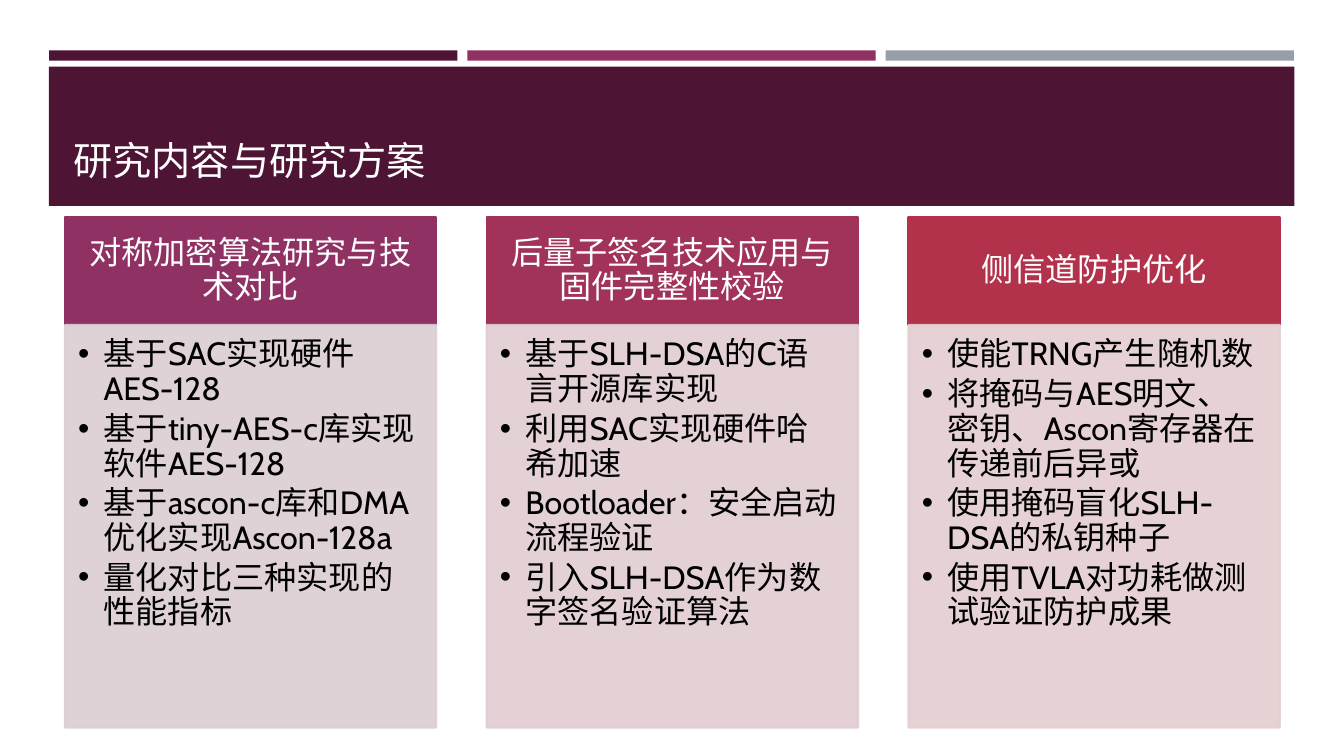
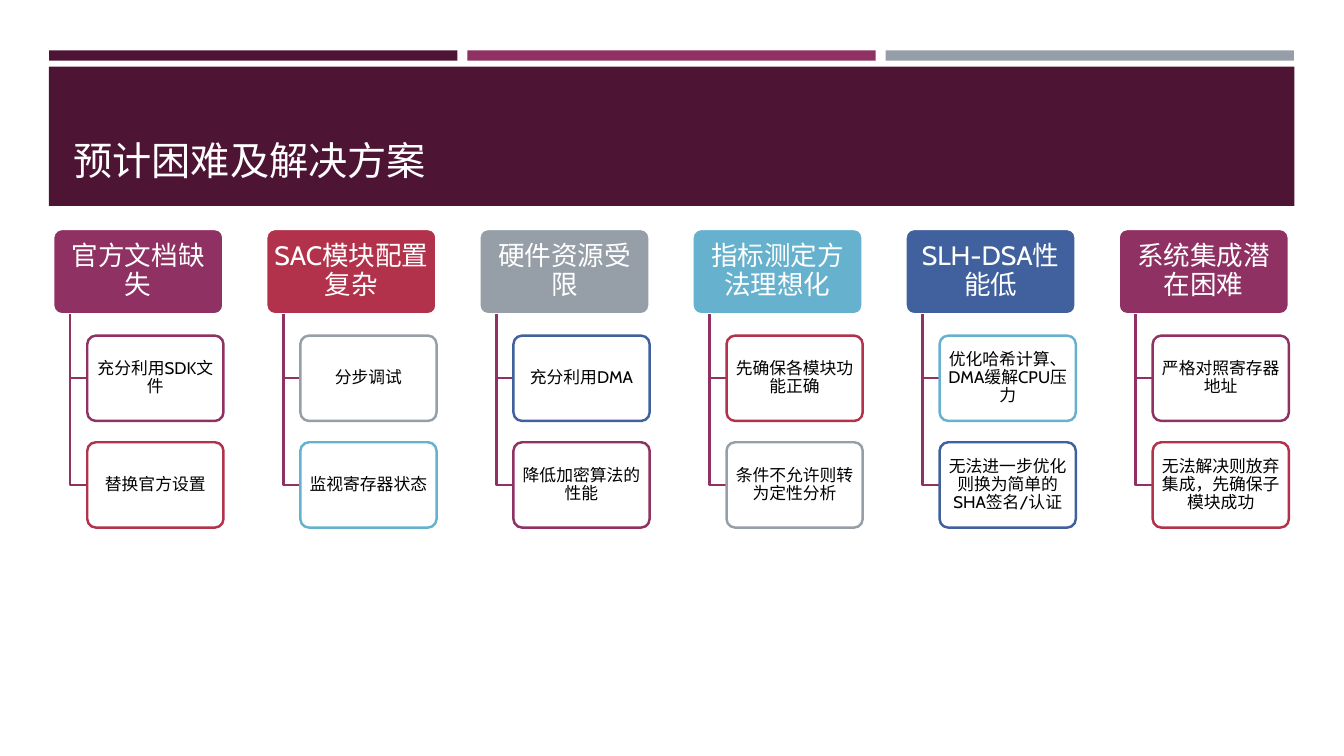
from itertools import cycle

from pptx import Presentation
from pptx import util as u
from pptx.dml.color import RGBColor
from pptx.enum import lang, shapes, text
from pptx.oxml import ns, xmlchemy

FONT = "Cabin"
WHITE = RGBColor(0xFF, 0xFF, 0xFF)
BLACK = RGBColor(0x00, 0x00, 0x00)
PLUM = RGBColor(0x4D, 0x14, 0x34)
MAGENTA = RGBColor(0x90, 0x31, 0x63)
RASPBERRY = RGBColor(0xA1, 0x32, 0x5A)
RED = RGBColor(0xB2, 0x32, 0x4B)
GREY = RGBColor(0x96, 0x9F, 0xA7)
SKY = RGBColor(0x66, 0xB1, 0xCE)
BLUE = RGBColor(0x40, 0x61, 0x9D)
PALE_MAGENTA = RGBColor(0xDB, 0xCE, 0xD3)
PALE_RASPBERRY = RGBColor(0xE0, 0xCD, 0xD2)
PALE_RED = RGBColor(0xE4, 0xCE, 0xD0)
ACCENTS = (MAGENTA, RED, GREY, SKY, BLUE)

LINE_WIDTH = u.Pt(1.75)
RECT = shapes.MSO_SHAPE.RECTANGLE
ROUNDED = shapes.MSO_SHAPE.ROUNDED_RECTANGLE
CENTER = text.PP_ALIGN.CENTER
LEFT = text.PP_ALIGN.LEFT

CARDS = (
    ("对称加密算法研究与技术对比", MAGENTA, PALE_MAGENTA, (
        "基于SAC实现硬件AES-128",
        "基于tiny-AES-c库实现软件AES-128",
        "基于ascon-c库和DMA优化实现Ascon-128a",
        "量化对比三种实现的性能指标",
    )),
    ("后量子签名技术应用与固件完整性校验", RASPBERRY, PALE_RASPBERRY, (
        "基于SLH-DSA的C语言开源库实现",
        "利用SAC实现硬件哈希加速",
        "Bootloader：安全启动流程验证",
        "引入SLH-DSA作为数字签名验证算法",
    )),
    ("侧信道防护优化", RED, PALE_RED, (
        "使能TRNG产生随机数",
        "将掩码与AES明文、密钥、Ascon寄存器在传递前后异或",
        "使用掩码盲化SLH-DSA的私钥种子",
        "使用TVLA对功耗做测试验证防护成果",
    )),
)

DIFFICULTIES = (
    ("官方文档缺失", ("充分利用SDK文件", "替换官方设置")),
    ("SAC模块配置复杂", ("分步调试", "监视寄存器状态")),
    ("硬件资源受限", ("充分利用DMA", "降低加密算法的性能")),
    ("指标测定方法理想化", ("先确保各模块功能正确", "条件不允许则转为定性分析")),
    ("SLH-DSA性能低", ("优化哈希计算、DMA缓解CPU压力",
                    "无法进一步优化则换为简单的SHA签名/认证")),
    ("系统集成潜在困难", ("严格对照寄存器地址",
                  "无法解决则放弃集成，先确保子模块成功")),
)


def add_box(slide, kind, left, top, width, height, fill, line=None):
    box = slide.shapes.add_shape(
        kind, u.Cm(left), u.Cm(top), u.Cm(width), u.Cm(height))
    box.shadow.inherit = False
    box.fill.solid()
    box.fill.fore_color.rgb = fill
    if line is None:
        box.line.fill.background()
    else:
        box.line.color.rgb = line
        box.line.width = LINE_WIDTH
    return box


def set_opacity(box, percent):
    for color in box.element.spPr.iter(ns.qn("a:srgbClr")):
        alpha = xmlchemy.OxmlElement("a:alpha")
        alpha.set("val", str(percent * 1000))
        color.append(alpha)


def add_span(para, words, size, color):
    span = para.add_run()
    span.text = words
    span.font.name = FONT
    span.font.size = u.Pt(size)
    span.font.color.rgb = color
    span.font.language_id = lang.MSO_LANGUAGE_ID.SIMPLIFIED_CHINESE


def add_bullet(para):
    props = para._p.get_or_add_pPr()
    props.set("marL", str(u.Cm(0.64)))
    props.set("indent", str(-u.Cm(0.64)))
    for tag, name, value in (("a:buFont", "typeface", "Arial"),
                             ("a:buChar", "char", "•")):
        item = xmlchemy.OxmlElement(tag)
        item.set(name, value)
        props.append(item)


def write(box, lines, size, color, insets, bulleted=False):
    frame = box.text_frame
    frame.word_wrap = True
    anchors = text.MSO_ANCHOR
    frame.vertical_anchor = anchors.TOP if bulleted else anchors.MIDDLE
    (frame.margin_left, frame.margin_top,
     frame.margin_right, frame.margin_bottom) = map(u.Cm, insets)
    for number, words in enumerate(lines):
        para = frame.add_paragraph() if number else frame.paragraphs[0]
        para.alignment = LEFT if bulleted else CENTER
        para.line_spacing = 0.9
        if bulleted:
            para.space_after = u.Pt(3.5)
            add_bullet(para)
        add_span(para, words, size, color)


def add_bands_to_layout(layout, slide):
    bands = [add_box(slide, RECT, 1.24 + 10.54 * number, 1.27, 10.29, 0.26, color)
             for number, color in enumerate((PLUM, MAGENTA, GREY))]
    bands.append(add_box(slide, RECT, 1.23, 1.68, 31.39, 3.51, PLUM))
    for number, band in enumerate(bands):
        band.element.nvSpPr.cNvPr.set("id", str(100 + number))
        layout.shapes.element.insert(2 + number, band.element)


def add_titled_slide(deck, layout, words):
    slide = deck.slides.add_slide(layout)
    title = slide.shapes.title
    title.left, title.top = u.Cm(1.6), u.Cm(2.03)
    title.width, title.height = u.Cm(30.63), u.Cm(2.74)
    frame = title.text_frame
    frame.auto_size = text.MSO_AUTO_SIZE.NONE
    frame.vertical_anchor = text.MSO_ANCHOR.BOTTOM
    para = frame.paragraphs[0]
    para.alignment = LEFT
    para.line_spacing = 0.9
    add_span(para, words, 28, WHITE)
    return slide


def add_card(slide, left, heading, color, pale, points):
    top, width, head_height, body_height = 5.47, 9.35, 2.72, 10.14
    head = add_box(slide, RECT, left, top, width, head_height, color, color)
    write(head, [heading], 23, WHITE, (0.46, 0.25, 0.46, 0.25))
    body = add_box(slide, RECT, left, top + head_height, width, body_height,
                   pale, pale)
    set_opacity(body, 90)
    write(body, points, 23, BLACK, (0.33, 0.33, 0.46, 0.51), bulleted=True)


def add_elbow(slide, left, top, right, bottom):
    builder = slide.shapes.build_freeform(u.Cm(left), u.Cm(top))
    builder.add_line_segments(
        [(u.Cm(left), u.Cm(bottom)), (u.Cm(right), u.Cm(bottom))], close=False)
    elbow = builder.convert_to_shape()
    elbow.shadow.inherit = False
    elbow.fill.background()
    elbow.line.color.rgb = MAGENTA
    elbow.line.width = LINE_WIDTH


def add_branch(slide, left, heading, color, remedies, outlines):
    top, width, height, indent = 5.77, 4.29, 2.15, 0.86
    head = add_box(slide, ROUNDED, left, top, width, height, color, WHITE)
    head.adjustments[0] = 0.1
    write(head, [heading], 19, WHITE, (0.1, 0.08, 0.1, 0.08))
    for number, remedy in enumerate(remedies, 1):
        leaf_top = top + number * height * 1.25
        add_elbow(slide, left + indent / 2, top + height,
                  left + indent, leaf_top + height / 2)
        leaf = add_box(slide, ROUNDED, left + indent, leaf_top, width * 0.8,
                       height, WHITE, next(outlines))
        leaf.adjustments[0] = 0.1
        write(leaf, [remedy], 12, BLACK, (0.08, 0.05, 0.08, 0.05))


def main():
    deck = Presentation()
    deck.slide_width, deck.slide_height = u.Cm(33.87), u.Cm(19.05)
    layout = deck.slide_layouts.get_by_name("Title Only")

    plan = add_titled_slide(deck, layout, "研究内容与研究方案")
    add_bands_to_layout(layout, plan)
    for number, card in enumerate(CARDS):
        add_card(plan, 1.64 + 10.63 * number, *card)

    risks = add_titled_slide(deck, layout, "预计困难及解决方案")
    outlines = cycle(ACCENTS)
    for number, ((heading, remedies), color) in enumerate(
            zip(DIFFICULTIES, cycle(ACCENTS))):
        add_branch(risks, 1.34 + 5.37 * number, heading, color, remedies, outlines)

    deck.save("out.pptx")


if __name__ == "__main__":
    main()
